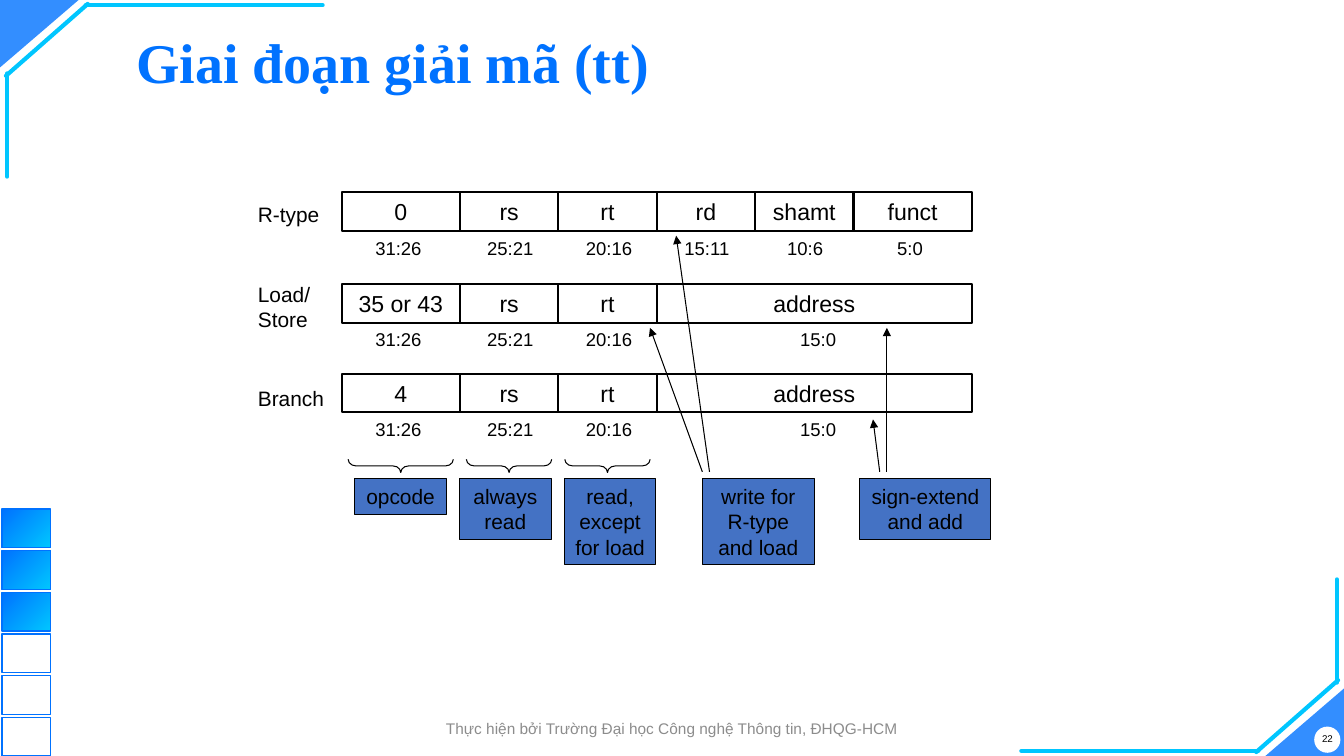
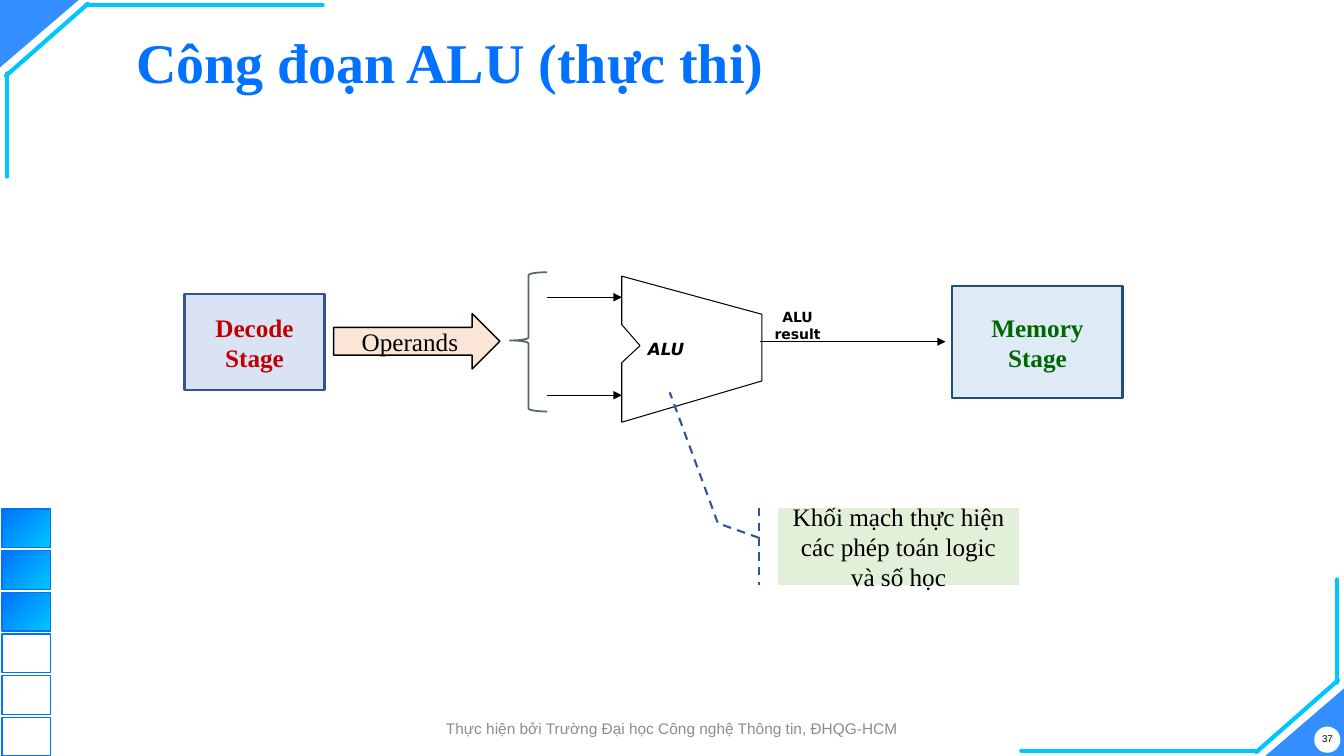
import pptx
import pptx.dml.color
import pptx.enum.dml
import pptx.enum.shapes
import pptx.enum.text
import pptx.oxml.ns
import pptx.util
from lxml import etree

Cm = pptx.util.Cm
Pt = pptx.util.Pt
SHAPE = pptx.enum.shapes.MSO_SHAPE
ALIGN = pptx.enum.text.PP_ALIGN
qn = pptx.oxml.ns.qn


class Theme:
    width, height = 33.87, 19.05
    blue, cyan, white, black, grey = "0072FF", "00C6FF", "FFFFFF", "000000", "8C8C8C"
    note_fill, slate, navy, deep_blue = "4472C4", "576671", "325491", "1F4E79"
    decode_fill, memory_fill = "DAE3F3", "DEEBF7"
    operand_fill, callout_fill = "FBE5D6", "E2F0D9"
    red, green = "C00000", "006600"
    sans, serif, label = "Arial", "Times New Roman", "DejaVu Sans"
    title_size, stage_size, field_size, note_size, bit_size = 40, 18, 16.5, 14.9, 13.2
    footer_size, page_size, alu_size, result_size = 11, 7, 12, 10


# Content shared by the slides (lengths in centimetres)
FOOTER = "Thực hiện bởi Trường Đại học Công nghệ Thông tin, ĐHQG-HCM"
CORNER_LINES = [((8.13, 0.13), (2.16, 0.13)), ((2.21, 0.1), (0.15, 1.91)),
                ((0.18, 4.45), (0.18, 1.85))]
STEP_COUNT, STEPS_DONE = 6, 3

# Instruction formats: label, label top, label width, row top, (field, bits)
FORMATS = [
    ("R-type", 4.95, 2.08, 4.85, [("0", "31:26"), ("rs", "25:21"), ("rt", "20:16"),
                                  ("rd", "15:11"), ("shamt", "10:6"), ("funct", "5:0")]),
    ("Load/\nStore", 6.96, 1.83, 7.16, [("35 or 43", "31:26"), ("rs", "25:21"),
                                        ("rt", "20:16"), ("address", "15:0")]),
    ("Branch", 9.6, 2.18, 9.42, [("4", "31:26"), ("rs", "25:21"), ("rt", "20:16"),
                                 ("address", "15:0")]),
]
FIELDS_LEFT, FIELD_HEIGHT = 8.61, 0.97
FIELD_WIDTHS = {6: 2.98, 5: 2.48, 16: 7.94}
BIT_LABELS = {"31:26": (9.19, 1.7), "25:21": (12.01, 1.7), "20:16": (14.5, 1.7),
              "15:11": (16.99, 1.65), "10:6": (19.58, 1.42), "5:0": (22.35, 1.17),
              "15:0": (19.91, 1.42)}
NOTES = [  # text, left, width, line count
    ("opcode", 8.94, 2.31, 1), ("always read", 11.58, 2.31, 2),
    ("read, except for load", 14.22, 2.31, 3),
    ("write for R-type and load", 17.7, 2.82, 3), ("sign-extend and add", 21.67, 3.3, 2)]
NOTE_ARROWS = [((17.7, 11.89), (16.38, 8.26)), ((17.88, 11.89), (17.04, 5.94)),
               ((22.17, 11.89), (22, 10.57)), ((22.35, 11.89), (22.35, 8.26))]

# ALU stage
ALU_OUTLINE = [(15.67, 6.96), (19.2, 7.92), (19.2, 9.6), (15.67, 10.64),
               (15.67, 9.14), (16.13, 8.71), (15.67, 8.18)]
ALU_ARROWS = [((13.79, 7.49), (15.67, 7.49)), ((13.79, 9.96), (15.67, 9.96)),
              ((19.15, 8.61), (23.83, 8.61))]
STAGES = [  # text, box, fill, line, text colour
    ("Decode Stage", (4.65, 7.42, 3.53, 2.41), Theme.decode_fill, Theme.navy, Theme.red),
    ("Memory Stage", (24, 7.21, 4.29, 2.82), Theme.memory_fill, Theme.deep_blue,
     Theme.green)]
CALLOUT = "Khối mạch thực hiện các phép toán logic và số học"


# Drawing helpers
def rgb(colour):
    return pptx.dml.color.RGBColor.from_string(colour)


def write(shape, paragraphs, size, font=Theme.sans, colour=Theme.black, bold=False,
          italic=False, align=ALIGN.CENTER, wrap=True, spacing=None):
    frame = shape.text_frame
    frame.word_wrap = wrap
    frame.vertical_anchor = pptx.enum.text.MSO_ANCHOR.MIDDLE
    for index, text in enumerate(paragraphs):
        paragraph = frame.add_paragraph() if index else frame.paragraphs[0]
        paragraph.alignment = align
        if spacing:
            paragraph.line_spacing = spacing
        for line_index, line in enumerate(text.split("\n")):
            if line_index:
                paragraph.add_line_break()
            run = paragraph.add_run()
            run.text = line
            run.font.name, run.font.size = font, Pt(size)
            run.font.bold, run.font.italic = bold, italic
            run.font.color.rgb = rgb(colour)


def add_text(slide, box, paragraphs, size, **style):
    shape = slide.shapes.add_textbox(*map(Cm, box))
    write(shape, paragraphs, size, **style)


def paint(shape, fill=None, line=None, weight=0.75):
    shape.shadow.inherit = False
    if fill:
        shape.fill.solid()
        shape.fill.fore_color.rgb = rgb(fill)
    else:
        shape.fill.background()
    if line:
        shape.line.color.rgb = rgb(line)
        shape.line.width = Pt(weight)
    else:
        shape.line.fill.background()


def add_box(slide, kind, box, fill=None, line=None, weight=0.75, adjustments=()):
    shape = slide.shapes.add_shape(kind, *map(Cm, box))
    for index, value in enumerate(adjustments):
        shape.adjustments[index] = value
    paint(shape, fill, line, weight)
    return shape


def add_line(slide, start, end, colour=Theme.black, weight=0.75, arrow=True):
    connector = slide.shapes.add_connector(
        pptx.enum.shapes.MSO_CONNECTOR.STRAIGHT, *map(Cm, start + end))
    connector.line.color.rgb = rgb(colour)
    connector.line.width = Pt(weight)
    properties = connector.element.spPr
    outline = properties.find(qn("a:ln"))
    if arrow:
        etree.SubElement(outline, qn("a:tailEnd"), type="triangle")
    else:
        outline.set("cap", "rnd")
    etree.SubElement(properties, qn("a:effectLst"))


# Shared frame: corners, progress squares, title, footer
def add_frame(presentation, title, page):
    slide = presentation.slides.add_slide(presentation.slide_layouts[6])
    width, height = 1.98, 1.7
    corners = [(0, 0, 180), (Theme.width - width, Theme.height - height, 0)]
    for left, top, rotation in corners:
        triangle = add_box(slide, SHAPE.ISOSCELES_TRIANGLE, (left, top, width, height),
                           Theme.blue, adjustments=[1])
        triangle.rotation = rotation
        colour = triangle.element.spPr.find(qn("a:solidFill"))[0]
        etree.SubElement(colour, qn("a:alpha"), val="80000")
    for start, end in CORNER_LINES:
        add_line(slide, start, end, Theme.cyan, 3, arrow=False)
        opposite = [(Theme.width - x, Theme.height - y) for x, y in (start, end)]
        add_line(slide, *opposite, Theme.cyan, 3, arrow=False)
    add_box(slide, SHAPE.OVAL, (33.12, 18.31, 0.66, 0.66), Theme.white)

    step_height, step_pitch = 0.97, 1.05
    for index in range(STEP_COUNT):
        top = Theme.height - step_height - (STEP_COUNT - 1 - index) * step_pitch
        square = add_box(slide, SHAPE.RECTANGLE, (0.05, top, 1.22, step_height),
                         line=Theme.blue, weight=1)
        if index < STEPS_DONE:
            square.fill.gradient()
            square.fill.gradient_angle = 315
            for stop, colour in zip(square.fill.gradient_stops, (Theme.blue, Theme.cyan)):
                stop.color.rgb = rgb(colour)

    add_text(slide, (3.18, 0.41, 29.21, 2.49), [title], Theme.title_size,
             font=Theme.serif, colour=Theme.blue, bold=True, align=ALIGN.LEFT, spacing=0.9)
    add_text(slide, (33.05, 18.21, 0.81, 0.81), [page], Theme.page_size, wrap=False)
    add_text(slide, (10.13, 17.98, 13.61, 0.74), [FOOTER], Theme.footer_size,
             colour=Theme.grey)
    return slide


def field_width(bits):
    high, low = map(int, bits.split(":"))
    return FIELD_WIDTHS[high - low + 1]


def build_decode_slide(presentation):
    slide = add_frame(presentation, "Giai đoạn giải mã (tt)", "22")
    # Instruction rows
    for label, label_top, label_width, top, fields in FORMATS:
        left = FIELDS_LEFT
        for name, bits in fields:
            width = field_width(bits)
            cell = add_box(slide, SHAPE.RECTANGLE, (left, top, width, FIELD_HEIGHT),
                           line=Theme.black, weight=1.5)
            write(cell, [name], Theme.field_size)
            bits_left, bits_width = BIT_LABELS[bits]
            add_text(slide, (bits_left, top + 0.99, bits_width, 0.81), [bits],
                     Theme.bit_size, wrap=False)
            left += width
        label_height = 0.26 + 0.63 * len(label.split("\n"))
        add_text(slide, (6.25, label_top, label_width, label_height), [label],
                 Theme.note_size, align=ALIGN.LEFT, wrap=False)
    # Braces under the first three fields
    left, thickness, middle = FIELDS_LEFT, 0.33, 11.74
    for name, bits in FORMATS[0][4][:3]:
        width = field_width(bits)
        span = width - 0.33
        brace = add_box(slide, SHAPE.LEFT_BRACE,
                        (left + (width - thickness) / 2, middle - span / 2, thickness, span),
                        line=Theme.black, adjustments=[0.6, 0.5])
        brace.rotation = 270
        left += width
    # Notes and arrows
    for text, left, width, line_count in NOTES:
        note = add_box(slide, SHAPE.RECTANGLE,
                       (left, 12.07, width, 0.26 + 0.63 * line_count),
                       Theme.note_fill, Theme.black)
        write(note, [text], Theme.note_size)
    for start, end in NOTE_ARROWS:
        add_line(slide, start, end)


def build_alu_slide(presentation):
    slide = add_frame(presentation, "Công đoạn ALU (thực thi)", "37")
    # ALU symbol, its inputs and its result
    points = [(Cm(x), Cm(y)) for x, y in ALU_OUTLINE]
    builder = slide.shapes.build_freeform(*points[0])
    builder.add_line_segments(points[1:], close=True)
    paint(builder.convert_to_shape(), line=Theme.black)
    for start, end in ALU_ARROWS:
        add_line(slide, start, end, weight=1)
    add_text(slide, (18.9, 7.65, 2.4, 1.09), ["ALU", "result"], Theme.result_size,
             font=Theme.label, bold=True, wrap=False)
    add_text(slide, (15.99, 8.4, 1.6, 0.76), ["ALU"], Theme.alu_size,
             font=Theme.label, bold=True, italic=True, wrap=False)
    # Neighbouring stages
    for text, box, fill, line, colour in STAGES:
        stage = add_box(slide, SHAPE.RECTANGLE, box, fill, line, 1.5)
        write(stage, [text], Theme.stage_size, Theme.serif, colour, bold=True)
    # Operands
    operands = add_box(slide, SHAPE.RIGHT_ARROW, (8.41, 7.9, 4.19, 1.4),
                       Theme.operand_fill, Theme.black, 1)
    write(operands, ["Operands"], Theme.stage_size, Theme.serif)
    add_box(slide, SHAPE.LEFT_BRACE, (12.85, 6.86, 0.94, 3.51), line=Theme.slate,
            weight=1.25, adjustments=[0.08, 0.49])
    # Explanation
    callout = add_box(slide, SHAPE.LINE_CALLOUT_2_ACCENT_BAR, (19.61, 12.8, 6.07, 1.93),
                      Theme.callout_fill, Theme.navy, 1.5,
                      [0.39, -0.08, 0.2, -0.25, -1.51, -0.45])
    callout.line.dash_style = pptx.enum.dml.MSO_LINE.DASH
    write(callout, [CALLOUT], Theme.stage_size, Theme.serif)


def main():
    presentation = pptx.Presentation()
    presentation.slide_width = Cm(Theme.width)
    presentation.slide_height = Cm(Theme.height)
    build_decode_slide(presentation)
    build_alu_slide(presentation)
    presentation.save("out.pptx")


if __name__ == "__main__":
    main()
